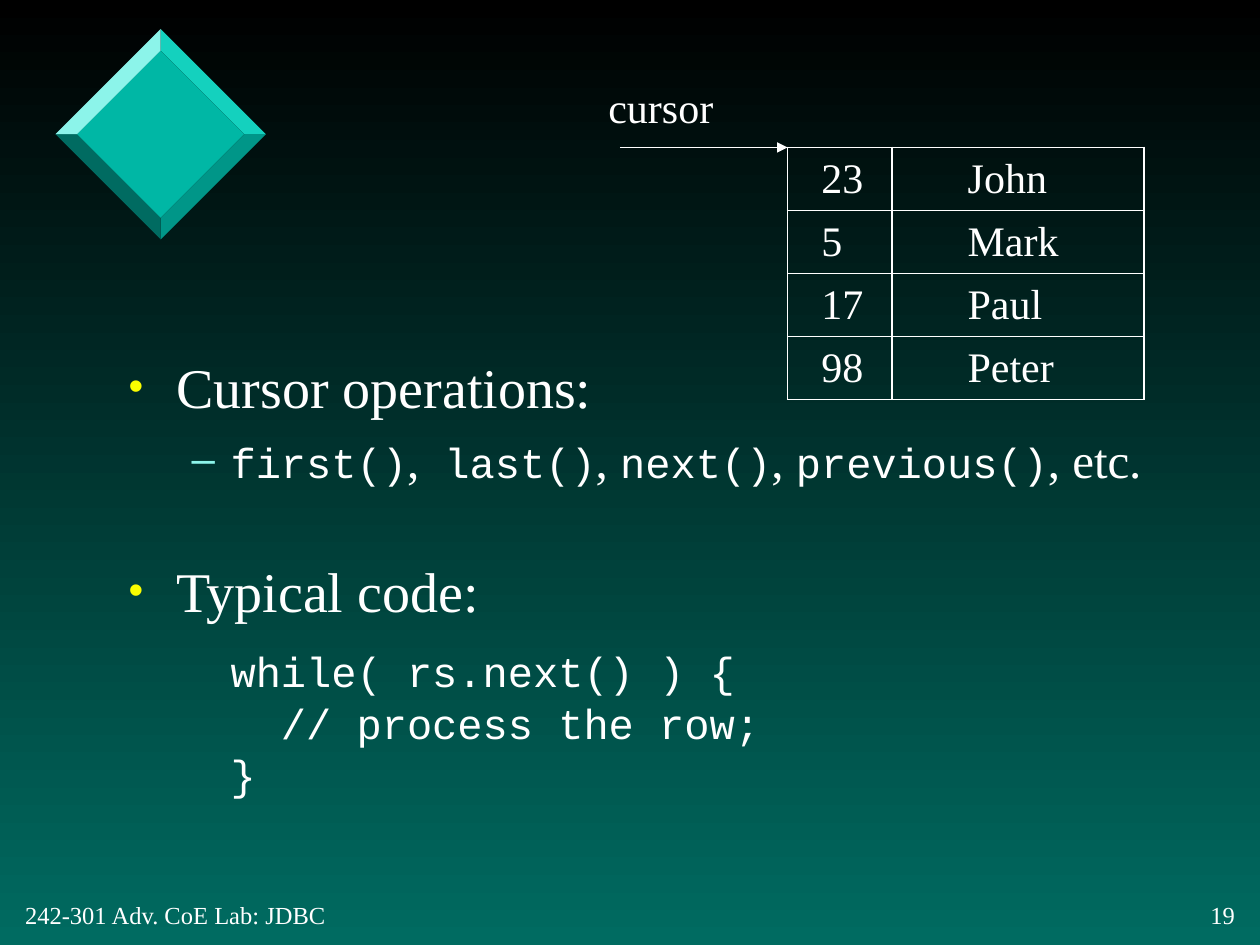
import dataclasses

import lxml.etree
import pptx
import pptx.dml.color
import pptx.enum.shapes
import pptx.enum.text
import pptx.oxml
import pptx.oxml.ns
import pptx.util

Inches = pptx.util.Inches
Pt = pptx.util.Pt
qn = pptx.oxml.ns.qn


@dataclasses.dataclass(frozen=True)
class Theme:
    """Colours, fonts and type sizes of the slide."""
    top: str = "000000"
    bottom: str = "006B61"
    ink: str = "FFFFFF"
    bullet: str = "FAFD00"
    dash: str = "8CF4EA"
    face: str = "00B7A5"
    bevels: tuple = ("14D1BE", "009688", "006B61", "8CF4EA")
    serif: str = "Times New Roman"
    mono: str = "Courier New"
    heading: int = 32
    item: int = 28
    code: int = 24
    small: int = 14
    rule: int = 1


THEME = Theme()


def rgb(value):
    """Return a colour from its hex value."""
    return pptx.dml.color.RGBColor.from_string(value)


def add_span(para, text, size=THEME.code, font=THEME.serif):
    """Add formatted text, with a line break at each newline."""
    for index, line in enumerate(text.split("\n")):
        if index:
            para.add_line_break()
        span = para.add_run()
        span.text = line
        span.font.size = Pt(size)
        span.font.name = font
        span.font.color.rgb = rgb(THEME.ink)


def add_label(page, text, left, top, width, height, size=THEME.code, align="LEFT"):
    """Add one line of text that does not wrap."""
    box = page.shapes.add_textbox(Inches(left), Inches(top), Inches(width), Inches(height))
    box.text_frame.word_wrap = False
    para = box.text_frame.paragraphs[0]
    para.alignment = getattr(pptx.enum.text.PP_ALIGN, align)
    add_span(para, text, size)


def paint_background(page):
    """Fill the page with a vertical gradient."""
    fill = page.background.fill
    fill.gradient()
    fill.gradient_angle = 270
    for stop, colour, place in zip(fill.gradient_stops, (THEME.top, THEME.bottom), (0, 1)):
        stop.color.rgb = rgb(colour)
        stop.position = place


def add_facet(page, points, colour):
    """Add a filled polygon."""
    corners = [(Inches(x), Inches(y)) for x, y in points]
    builder = page.shapes.build_freeform(*corners[0])
    builder.add_line_segments(corners[1:], close=True)
    facet = builder.convert_to_shape()
    facet.shadow.inherit = False
    facet.fill.solid()
    facet.fill.fore_color.rgb = rgb(colour)
    facet.line.fill.background()


def add_diamond(page, left, top, size, bevel):
    """Add a bevelled diamond made of a face and four edges."""
    half = size / 2
    compass = ((0, -1), (1, 0), (0, 1), (-1, 0))

    def ring(radius):
        return [(left + half + x * radius, top + half + y * radius) for x, y in compass]

    outer, inner = ring(half), ring(half - bevel)
    add_facet(page, inner, THEME.face)
    for side, colour in enumerate(THEME.bevels):
        after = (side + 1) % 4
        add_facet(page, [inner[side], outer[side], outer[after], inner[after]], colour)


def add_borders(cell):
    """Draw a thin line on every side of a cell."""
    properties = cell._tc.get_or_add_tcPr()
    for side in ("lnL", "lnR", "lnT", "lnB"):
        line = lxml.etree.SubElement(properties, qn("a:" + side), w=str(Pt(THEME.rule)))
        fill = lxml.etree.SubElement(line, qn("a:solidFill"))
        lxml.etree.SubElement(fill, qn("a:srgbClr"), val=THEME.ink)


def add_result_set(page, rows, left, top, widths, row_height, insets):
    """Add the table of rows that the cursor walks through."""
    frame = page.shapes.add_table(len(rows), len(widths), Inches(left), Inches(top),
                                  Inches(sum(widths)), Inches(row_height * len(rows)))
    table = frame.table
    table.first_row = table.horz_banding = False
    for column, width in zip(table.columns, widths):
        column.width = Inches(width)
    for r, values in enumerate(rows):
        table.rows[r].height = Inches(row_height)
        for c, value in enumerate(values):
            cell = table.cell(r, c)
            cell.margin_left = Inches(insets[c])
            cell.margin_right = 0
            cell.vertical_anchor = pptx.enum.text.MSO_ANCHOR.MIDDLE
            add_borders(cell)
            cell.fill.background()
            add_span(cell.text_frame.paragraphs[0], value)


def add_cursor(page, tip_left, tip_top, length):
    """Add the labelled arrow that points at a row."""
    start = tip_left - length
    arrow = page.shapes.add_connector(pptx.enum.shapes.MSO_CONNECTOR.STRAIGHT, Inches(start),
                                      Inches(tip_top), Inches(tip_left), Inches(tip_top))
    arrow.line.color.rgb = rgb(THEME.ink)
    arrow.line.width = Pt(THEME.rule)
    lxml.etree.SubElement(arrow.line._get_or_add_ln(), qn("a:tailEnd"), type="triangle")
    lxml.etree.SubElement(arrow._element.spPr, qn("a:effectLst"))
    add_label(page, "cursor", start - 0.19, tip_top - 0.57, 1.03, 0.5)


def format_para(para, level, left, hanging, before, mark=None, colour=None, scale=100):
    """Set the indent, spacing and bullet of a paragraph."""
    para.level = level
    para.space_before = Pt(before)
    properties = para._p.get_or_add_pPr()
    properties.set("marL", str(Inches(left)))
    properties.set("indent", str(-Inches(hanging)))
    if mark is None:
        lxml.etree.SubElement(properties, qn("a:buNone"))
        return
    tint = lxml.etree.SubElement(properties, qn("a:buClr"))
    lxml.etree.SubElement(tint, qn("a:srgbClr"), val=colour)
    lxml.etree.SubElement(properties, qn("a:buSzPct"), val=str(scale * 1000))
    lxml.etree.SubElement(properties, qn("a:buChar"), char=mark)


def fill_body(box, left, top, width, height):
    """Place the body and write its headings, operations and code."""
    box.left, box.top, box.width, box.height = map(Inches, (left, top, width, height))
    frame = box.text_frame
    frame.auto_size = pptx.enum.text.MSO_AUTO_SIZE.NONE
    frame.vertical_anchor = pptx.enum.text.MSO_ANCHOR.TOP
    heading, operations, example, code = [frame.paragraphs[0]] + [
        frame.add_paragraph() for _ in range(3)]

    for para, text, before in ((heading, "Cursor operations:", 6.4),
                               (example, "Typical code:", 38.6)):
        format_para(para, 0, 0.38, 0.38, before, "•", THEME.bullet, 75)
        add_span(para, text, THEME.heading)

    format_para(operations, 1, 0.81, 0.31, 5.6, "–", THEME.dash)
    for call, separator in (("first()", ","), (" last()", ", "),
                            ("next()", ", "), ("previous()", ", etc.")):
        add_span(operations, call, THEME.code, THEME.mono)
        add_span(operations, separator, THEME.item)

    code.line_spacing = Pt(29.5)
    format_para(code, 1, 0.81, 0, 11.9)
    add_span(code, "while( rs.next() ) {\n  // process the row;\n}", THEME.code, THEME.mono)


def add_footer(page, text, number, top, height):
    """Add the course name and the page number."""
    add_label(page, text, 0.1, top, 2.62, height, THEME.small)
    add_label(page, number, 9.48, top, 0.42, height, THEME.small, "RIGHT")


def build():
    """Build the deck and save it."""
    deck = pptx.Presentation()
    deck.slide_width, deck.slide_height = Inches(10), Inches(7.5)
    page = deck.slides.add_slide(deck.slide_layouts[1])
    title = page.shapes.title._element
    title.getparent().remove(title)
    paint_background(page)
    add_diamond(page, 0.44, 0.23, 1.67, 0.17)
    add_footer(page, "242-301 Adv. CoE Lab: JDBC", "19", 7.09, 0.33)
    fill_body(page.placeholders[1], 0.92, 2.75, 8.5, 4)
    rows = (("23", "John"), ("5", "Mark"), ("17", "Paul"), ("98", "Peter"))
    add_result_set(page, rows, 6.25, 1.17, (0.83, 2), 0.5, (0.27, 0.6))
    add_cursor(page, 6.25, 1.17, 1.33)
    deck.save("out.pptx")


build()
